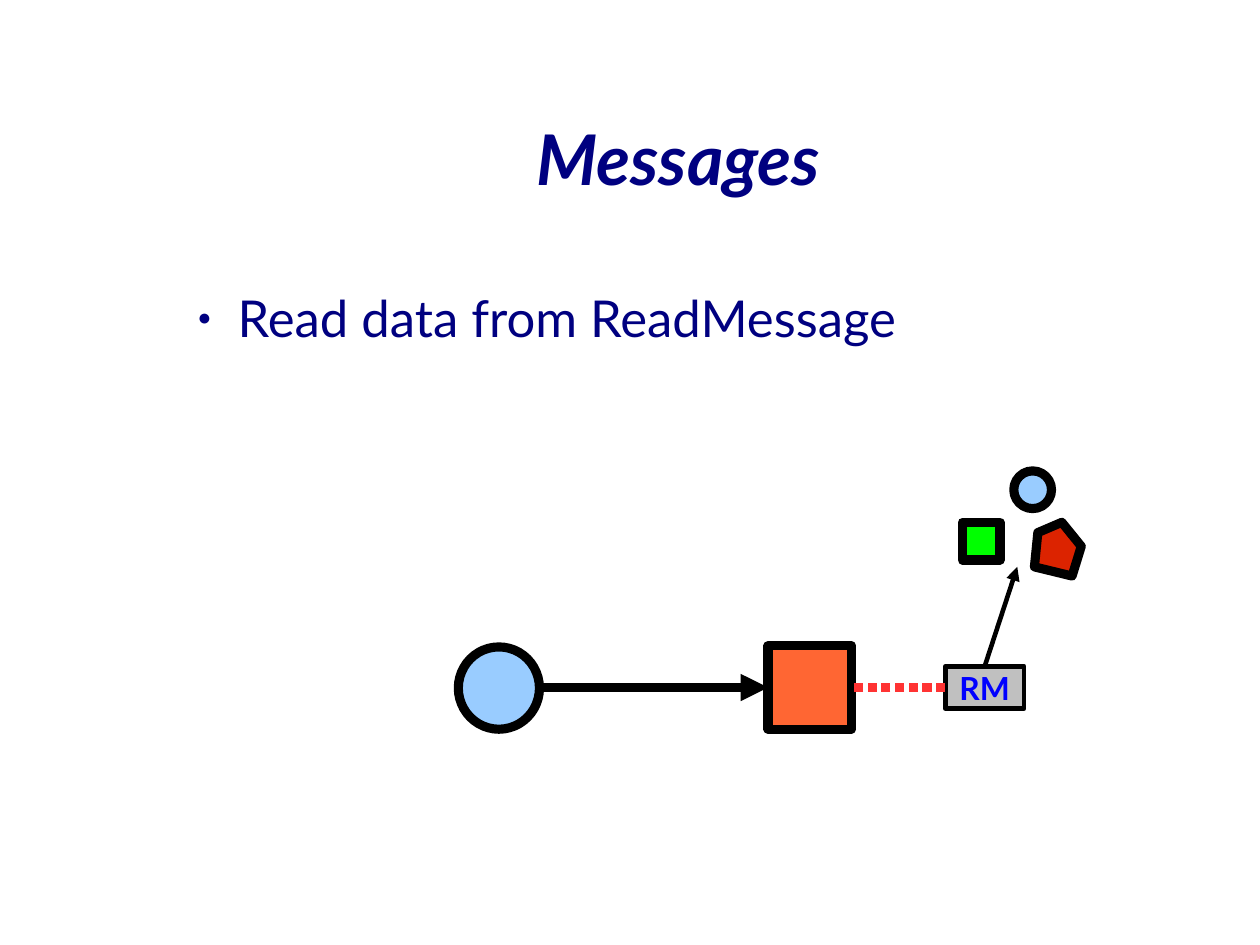
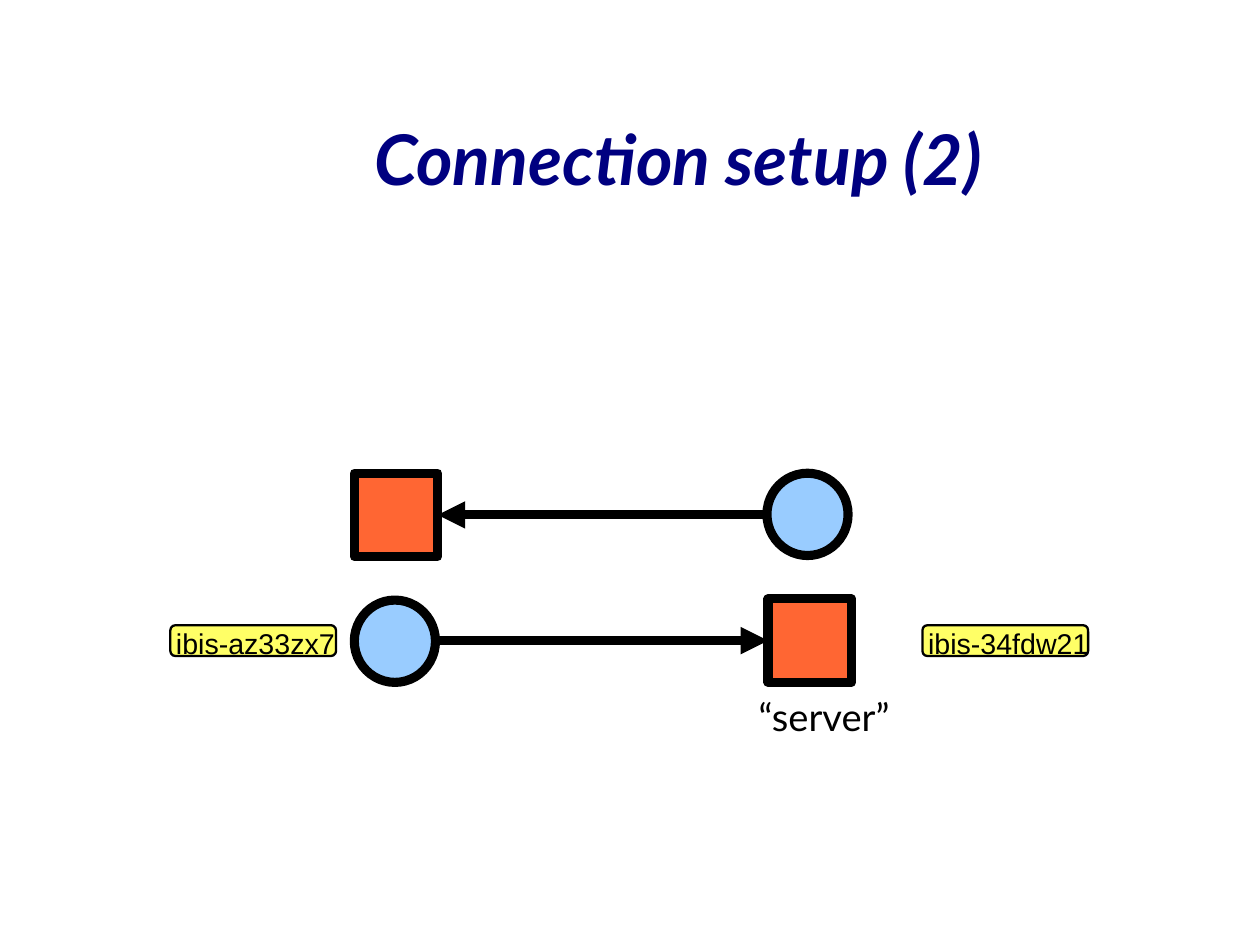
from lxml.etree import SubElement
from pptx import Presentation
from pptx.dml.color import RGBColor
from pptx.enum.shapes import MSO_CONNECTOR, MSO_SHAPE as SHAPE
from pptx.enum.text import MSO_ANCHOR, PP_ALIGN
from pptx.oxml.ns import qn
from pptx.util import Inches, Pt

SLIDE_WIDTH, SLIDE_HEIGHT = 28 / 2.54, 21 / 2.54
COLORS = {
    "navy": "000080", "black": "000000", "sky": "99CCFF", "orange": "FF6633",
    "red": "FF3333", "gray": "C0C0C0", "blue": "0000FF", "green": "00FF00",
    "brick": "DC2300", "yellow": "FFFF66",
}
TITLES = ["Messages", "Connection setup (2)"]
BULLET = "Read data from ReadMessage"
SEND_X, RECEIVE_X, PORT_SIZE = 3.1, 6.72, 0.73
CIRCLE_SIZE = (0.71, 0.72)
THICK, MEDIUM, THIN = 5.75, 2.89, 1.45
DATA_SIZE = 0.33
DATA_ITEMS = [(SHAPE.RECTANGLE, 8.42, 4.57, "green"), (SHAPE.OVAL, 8.87, 4.12, "sky")]
PENTAGON = [(9.08, 4.66), (9.29, 4.57), (9.46, 4.78), (9.38, 5.04), (9.05, 4.96)]
NODES = [("ibis-az33zx7", 1.49), ("ibis-34fdw21", 8.07)]
NODE_TOP, NODE_SIZE = 5.47, (1.45, 0.27)
TOP, LEFT, RIGHT = 0, 1, 3


def rgb(name):
    return RGBColor.from_string(COLORS[name])


def write(shape, text, size, color, font="Lato", bold=False, italic=False,
          align=PP_ALIGN.LEFT, anchor=MSO_ANCHOR.TOP, wrap=True):
    frame = shape.text_frame
    frame.margin_left = frame.margin_right = frame.margin_top = frame.margin_bottom = 0
    frame.word_wrap = wrap
    frame.vertical_anchor = anchor
    frame.text = text
    paragraph = frame.paragraphs[0]
    paragraph.alignment = align
    style = paragraph.runs[0].font
    style.name, style.size, style.bold, style.italic = font, Pt(size), bold, italic
    style.color.rgb = rgb(color)
    return paragraph


def add_text(slide, box, text, size, color, **style):
    return write(slide.shapes.add_textbox(*map(Inches, box)), text, size, color, **style)


def outline(shape, color, width):
    shape.line.color.rgb = rgb(color)
    shape.line.width = Pt(width)
    return shape.line._get_or_add_ln()


def paint(shape, fill, width):
    shape.shadow.inherit = False
    shape.fill.solid()
    shape.fill.fore_color.rgb = rgb(fill)
    SubElement(outline(shape, "black", width), qn("a:round"))
    return shape


def add_block(slide, kind, left, top, width, height, fill, line=THICK):
    box = map(Inches, (left, top, width, height))
    return paint(slide.shapes.add_shape(kind, *box), fill, line)


def add_send_port(slide, left, top):
    return add_block(slide, SHAPE.OVAL, left, top, *CIRCLE_SIZE, "sky")


def add_receive_port(slide, left, top):
    return add_block(slide, SHAPE.RECTANGLE, left, top, PORT_SIZE, PORT_SIZE, "orange")


def add_link(slide, start, end, color="black", width=THICK, dashed=False, begin=None, finish=None):
    link = slide.shapes.add_connector(MSO_CONNECTOR.STRAIGHT, *start, *end)
    if begin:
        link.begin_connect(*begin)
    if finish:
        link.end_connect(*finish)
    line = outline(link, color, width)
    if dashed:
        pattern = SubElement(line, qn("a:custDash"))
        SubElement(pattern, qn("a:ds"), d="100000", sp="50000")
    else:
        SubElement(line, qn("a:tailEnd"), type="triangle")
    SubElement(link._element.spPr, qn("a:effectLst"))


def connect_ports(slide, sender, receiver):
    y = receiver.top + receiver.height // 2
    rightward = sender.left < receiver.left
    start = sender.left + sender.width if rightward else sender.left
    end = receiver.left if rightward else receiver.left + receiver.width
    add_link(slide, (start, y), (end, y), finish=(receiver, LEFT if rightward else RIGHT))


def add_slide(deck, title):
    slide = deck.slides.add_slide(deck.slide_layouts[6])
    add_text(slide, (1.65, 0.69, 8.57, 1.38), title, 44, "navy", bold=True, italic=True,
             align=PP_ALIGN.CENTER, anchor=MSO_ANCHOR.MIDDLE)
    return slide


def add_bullet(slide):
    paragraph = add_text(slide, (1.61, 2.51, 9.41, 5.21), BULLET, 32, "navy")
    paragraph.space_after = Pt(14.1)
    props = paragraph._p.get_or_add_pPr()
    props.set("marL", str(Inches(0.47)))
    props.set("indent", str(Inches(-0.35)))
    color = SubElement(props, qn("a:buClr"))
    SubElement(color, qn("a:srgbClr"), val=COLORS["navy"])
    SubElement(props, qn("a:buSzPct"), val="45000")
    SubElement(props, qn("a:buFont"), typeface="Arial")
    SubElement(props, qn("a:buChar"), char="●")


def build_messages(deck):
    slide = add_slide(deck, TITLES[0])
    add_bullet(slide)
    sender = add_send_port(slide, 4.01, 5.66)
    receiver = add_receive_port(slide, RECEIVE_X, 5.65)
    connect_ports(slide, sender, receiver)
    message = add_block(slide, SHAPE.RECTANGLE, 8.27, 5.83, 0.69, 0.37, "gray", MEDIUM)
    write(message, "RM", 20, "blue", bold=True, align=PP_ALIGN.CENTER,
          anchor=MSO_ANCHOR.MIDDLE, wrap=False)
    add_link(slide, (0, 0), (0, 0), "red", dashed=True,
             begin=(message, LEFT), finish=(receiver, RIGHT))
    add_link(slide, (0, 0), (Inches(8.9), Inches(4.96)), width=MEDIUM, begin=(message, TOP))
    for kind, left, top, fill in DATA_ITEMS:
        add_block(slide, kind, left, top, DATA_SIZE, DATA_SIZE, fill)
    corners = [(Inches(x), Inches(y)) for x, y in PENTAGON]
    builder = slide.shapes.build_freeform(*corners[0])
    builder.add_line_segments(corners[1:], close=True)
    paint(builder.convert_to_shape(), "brick", THICK)


def build_connection(deck):
    slide = add_slide(deck, TITLES[1])
    client_sender = add_send_port(slide, SEND_X, 5.25)
    server_receiver = add_receive_port(slide, RECEIVE_X, 5.24)
    connect_ports(slide, client_sender, server_receiver)
    client_receiver = add_receive_port(slide, SEND_X, 4.14)
    server_sender = add_send_port(slide, 6.71, 4.14)
    connect_ports(slide, server_sender, client_receiver)
    for name, left in NODES:
        add_block(slide, SHAPE.ROUNDED_RECTANGLE, left, NODE_TOP, *NODE_SIZE, "yellow", THIN)
        add_text(slide, (left + 0.05, NODE_TOP + 0.01, 1.54, 0.28), name, 18, "black", font="Arial")
    add_text(slide, (6.41, 6.07, 1.6, 0.43), "“server”", 24, "black",
             align=PP_ALIGN.CENTER, wrap=False)


def main():
    deck = Presentation()
    deck.slide_width, deck.slide_height = Inches(SLIDE_WIDTH), Inches(SLIDE_HEIGHT)
    build_messages(deck)
    build_connection(deck)
    deck.save("out.pptx")


if __name__ == "__main__":
    main()
